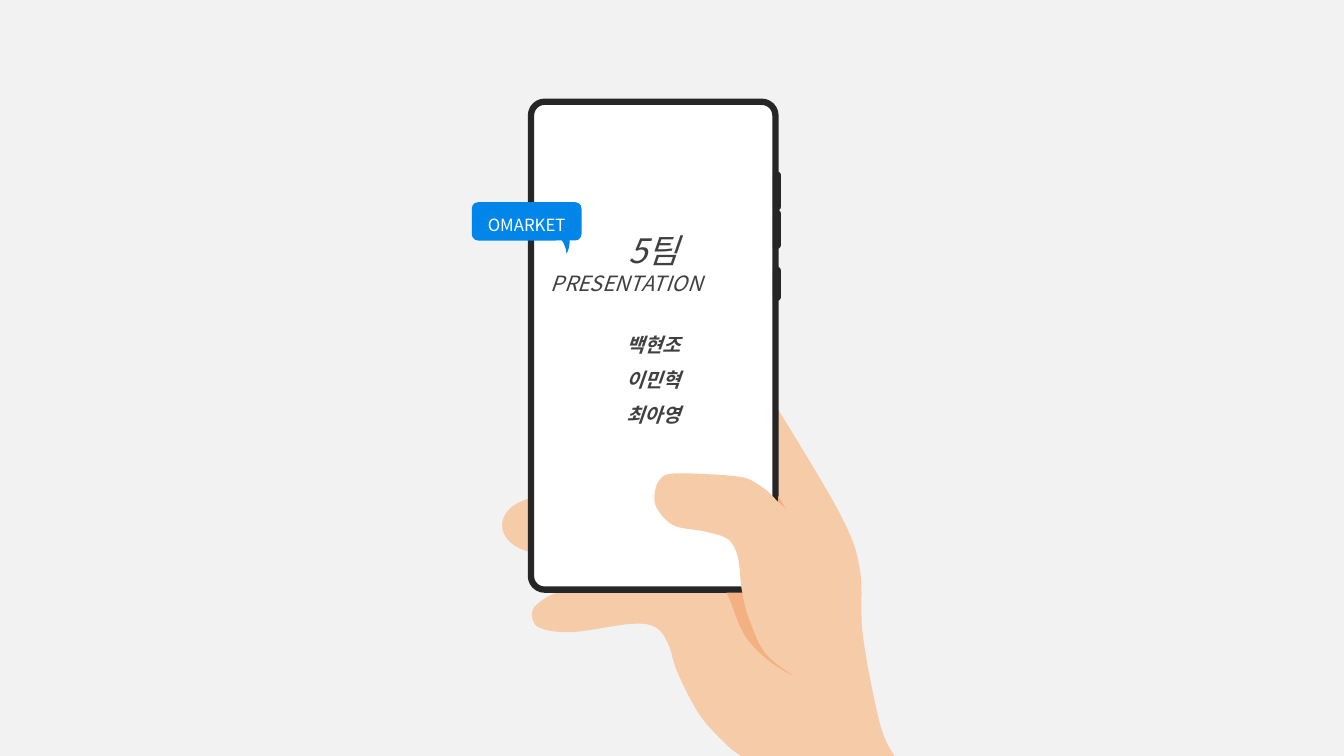
from itertools import pairwise

from lxml.etree import SubElement
from pptx import Presentation
from pptx.dml.color import RGBColor
from pptx.enum.shapes import MSO_SHAPE
from pptx.enum.text import MSO_ANCHOR, MSO_AUTO_SIZE, PP_ALIGN
from pptx.oxml.ns import qn
from pptx.util import Pt

FONT = "Noto Sans CJK KR"
SKIN, SHADE, INK, BLUE = "F6CBA8", "F3B080", "262626", "0185E9"
WHITE, GREY, TEXT = "FFFFFF", "F2F2F2", "404040"

ARM = [
    [(167, 0), (177.1, 4.3), (201.6, 41.8), (242.6, 111.6), (255.6, 149),
     (257.8, 196.6), (270, 259.2), (280.1, 282.2)],
    [(280.1, 282.2), (170.6, 282.2)],
    [(170.6, 282.2), (159.8, 273.6), (141.1, 252.7), (125.3, 222.5),
     (118.8, 202.3), (109.4, 190.1), (91.4, 187.9), (49.7, 193.7),
     (25.9, 190.1), (21.6, 178.6), (30.2, 169.9), (41.8, 164.2), (61.2, 155.5)],
    [(61.2, 155.5), (61.2, 150.5)],
    [(61.2, 150.5), (45.4, 94.3), (74.9, 89.3), (85.7, 81.4),
     (111.6, 41.8), (155.5, 4.3), (167, 0)],
]
PALM_SHADE = [
    [(194.4, 163.4), (199.4, 163.4)],
    [(199.4, 163.4), (200.9, 169.9), (208.8, 200.9), (215.3, 225.4),
     (195.1, 217.4), (174.2, 197.3), (162.7, 170.6), (160.6, 165.6)],
    [(160.6, 165.6), (194.4, 165.6)],
]
THUMB = [
    [(217.4, 127.4), (195.1, 98.6), (182.2, 87.8), (169.9, 82.8),
     (139.7, 80.6), (121, 80.6), (113.8, 83.5), (109.4, 92.2),
     (110.2, 104.4), (122.4, 117.4), (144, 121.7), (159.1, 126),
     (165.6, 132.5), (169.2, 144), (171.4, 164.2), (177.1, 185.8),
     (190.8, 211.7), (223.9, 232.6), (229.7, 220.3), (227.5, 198.7),
     (217.4, 127.4)],
]


def color(value):
    return RGBColor.from_string(value)


def paint(shape, fill, line=None, width=0):
    shape.shadow.inherit = False
    shape.fill.solid()
    shape.fill.fore_color.rgb = color(fill)
    if line:
        shape.line.color.rgb = color(line)
        shape.line.width = Pt(width)
    else:
        shape.line.fill.background()
    return shape


def add_preset(slide, kind, box, fill, line=None, width=0):
    shape = slide.shapes.add_shape(kind, *map(Pt, box))
    return paint(shape, fill, line, width)


def control_points(knots):
    closed = knots[0] == knots[-1]
    padded = [knots[-2 if closed else 0], *knots, knots[1 if closed else -1]]
    for index, (start, end) in enumerate(pairwise(knots)):
        before, after = padded[index], padded[index + 3]
        yield (tuple(b + (c - a) / 6 for a, b, c in zip(before, start, end)),
               tuple(c - (d - b) / 6 for b, c, d in zip(start, end, after)))


def add_outline(slide, origin, strokes, fill):
    strokes = [[(Pt(origin[0] + x), Pt(origin[1] + y)) for x, y in stroke]
               for stroke in strokes]
    builder = slide.shapes.build_freeform(*strokes[0][0])
    for stroke in strokes:
        builder.add_line_segments(stroke[1:], close=False)
    builder.add_line_segments([], close=True)
    shape = paint(builder.convert_to_shape(), fill)
    controls = [pair for stroke in strokes for pair in control_points(stroke)]
    segments = list(shape._element.iter(qn("a:lnTo")))
    for segment, pair in zip(segments, controls):
        segment.tag = qn("a:cubicBezTo")
        for index, (x, y) in enumerate(pair):
            point = SubElement(segment, qn("a:pt"))
            point.set("x", str(round(x - shape.left)))
            point.set("y", str(round(y - shape.top)))
            segment.insert(index, point)


def write_lines(frame, lines, ink, margins, anchor, italic=False):
    frame.word_wrap = True
    frame.auto_size = MSO_AUTO_SIZE.NONE
    frame.vertical_anchor = anchor
    (frame.margin_left, frame.margin_top,
     frame.margin_right, frame.margin_bottom) = map(Pt, margins)
    for index, (text, size, align, spacing, before, bold) in enumerate(lines):
        para = frame.add_paragraph() if index else frame.paragraphs[0]
        para.alignment = align
        para.line_spacing = spacing
        para.space_before, para.space_after = Pt(before), Pt(0)
        span = para.add_run()
        span.text = text
        font = span.font
        font.size, font.bold, font.italic = Pt(size), bold, italic
        font.color.rgb = color(ink)
        font.name = FONT
        SubElement(font._element, qn("a:ea")).set("typeface", FONT)


def draw_hand_back(slide, origin):
    left, top = origin
    add_preset(slide, MSO_SHAPE.OVAL, (left, top + 97.2, 58.3, 40.3), SKIN)
    add_outline(slide, origin, ARM, SKIN)


def draw_hand_front(slide, origin):
    left, top = origin
    add_outline(slide, origin, PALM_SHADE, SHADE)
    add_preset(slide, MSO_SHAPE.RIGHT_TRIANGLE,
               (left + 197.3, top + 96.5, 9.4, 15.8), SHADE)
    add_outline(slide, origin, THUMB, SKIN)


def draw_phone(slide, box):
    left, top, width, height = box
    body = add_preset(slide, MSO_SHAPE.ROUNDED_RECTANGLE, box, WHITE, INK, 4.5)
    body.adjustments[0] = 0.056
    thickness = 3.6
    for middle, length in ((63.7, 25.9), (91.1, 25.9), (130, 22.3)):
        button = add_preset(
            slide, MSO_SHAPE.ROUND_2_SAME_RECTANGLE,
            (left + width + 1 - length / 2, top + middle - thickness / 2,
             length, thickness), INK, INK, 2.25)
        button.adjustments[0], button.adjustments[1] = 0, 0.5
        button.rotation = 270


def write_screen(slide, box):
    title = slide.shapes.title
    title.left, title.top, title.width, title.height = map(Pt, box)
    slide.shapes._spTree.append(title._element)
    lines = [("5팀", 24, PP_ALIGN.CENTER, 1, 0, False),
             ("PRESENTATION", 15, PP_ALIGN.LEFT, 1, 0, False)]
    for name, before in (("백현조", 18), ("이민혁", 0), ("최아영", 0)):
        lines.append((name, 14, PP_ALIGN.CENTER, 1.5, before, True))
    write_lines(title.text_frame, lines, TEXT, (7.2, 3.6, 7.2, 3.6),
                MSO_ANCHOR.TOP, italic=True)


def draw_bubble(slide, box):
    left, top, width, height = box
    tail = add_preset(slide, MSO_SHAPE.MOON,
                      (left + 51.1, top + 9.4, 16.6, 27.4), BLUE)
    tail.rotation = 297.4
    tail._element.spPr.find(qn("a:xfrm")).set("flipH", "1")
    bubble = add_preset(slide, MSO_SHAPE.ROUNDED_RECTANGLE, box, BLUE)
    write_lines(bubble.text_frame,
                [("OMARKET", 12, PP_ALIGN.CENTER, 1.5, 0, False)],
                WHITE, (0, 0, 0, 2.9), MSO_ANCHOR.MIDDLE)


def build_cover(deck):
    slide = deck.slides.add_slide(deck.slide_layouts[5])
    slide.background.fill.solid()
    slide.background.fill.fore_color.rgb = color(GREY)
    hand = (358.6, 257.8)
    draw_hand_back(slide, hand)
    draw_phone(slide, (379.3, 72.7, 174.6, 348.5))
    draw_hand_front(slide, hand)
    write_screen(slide, (386.3, 160.9, 160.6, 149))
    draw_bubble(slide, (337, 144.4, 78.4, 27.4))


def main():
    deck = Presentation()
    deck.slide_width, deck.slide_height = Pt(960), Pt(540)
    build_cover(deck)
    deck.save("out.pptx")


if __name__ == "__main__":
    main()
